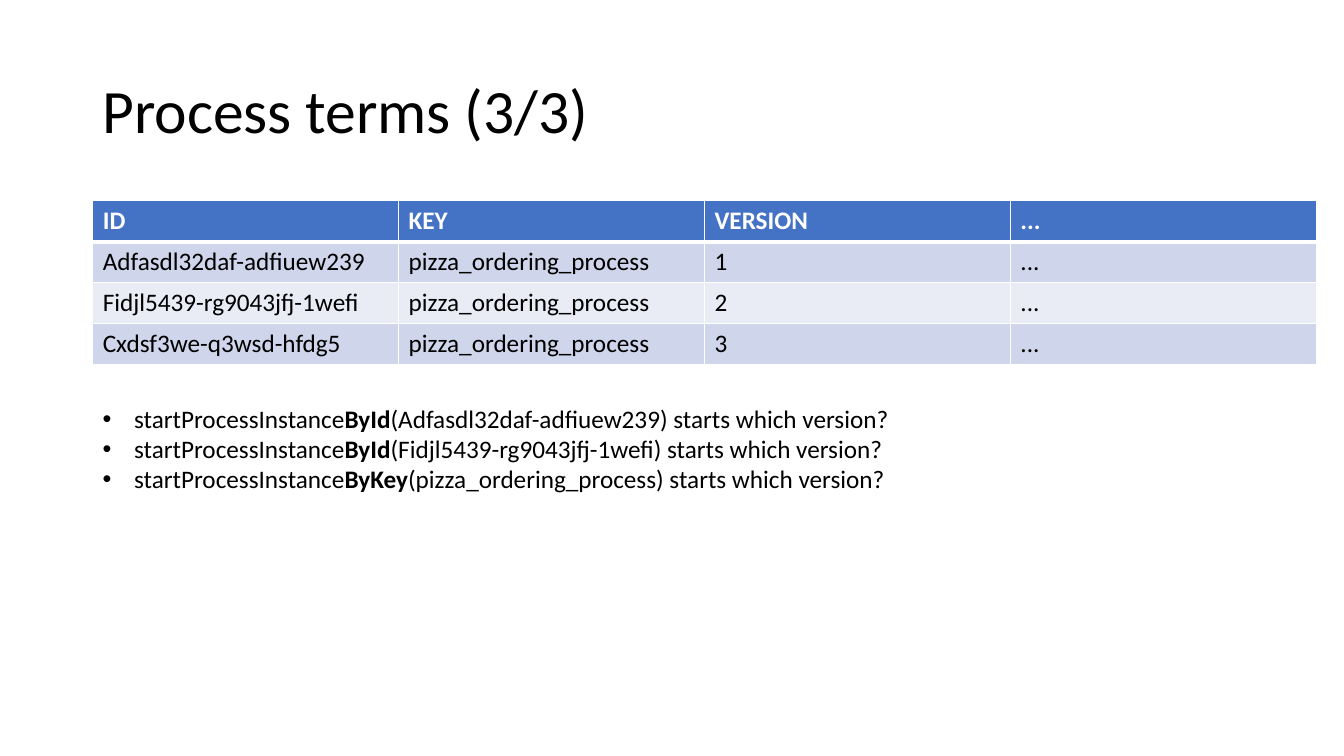
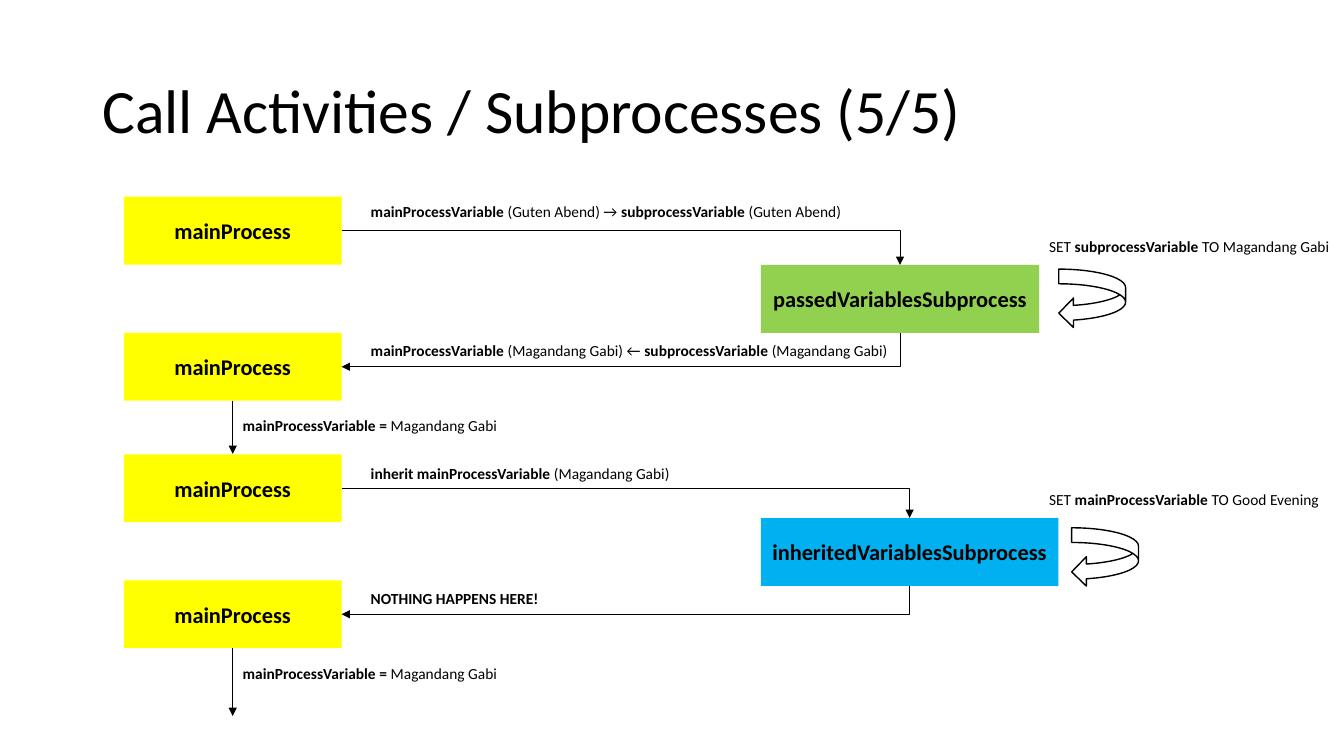
from dataclasses import dataclass

from lxml.etree import SubElement
from pptx import Presentation
from pptx.dml.color import RGBColor
from pptx.enum.shapes import MSO_CONNECTOR, MSO_SHAPE
from pptx.enum.text import MSO_ANCHOR, PP_ALIGN
from pptx.oxml import parse_xml
from pptx.oxml.ns import nsdecls, qn
from pptx.util import Pt

FONT = "Calibri"
BLACK, WHITE = "000000", "FFFFFF"
YELLOW, GREEN, CYAN = "FFFF00", "92D050", "00B0F0"
HEADER, BANDS = "4472C4", ("CFD5EA", "E9EBF5")
TOP, BOTTOM, RIGHT = 0, 2, 3  # connection sites of a rectangle
BOX_W, BOX_H = 155.5, 48.5


def rgb(color):
    return RGBColor.from_string(color)


# Text: **marks** enclose bold words
def write(paragraph, text, size, color=BLACK, bold=False):
    font = paragraph.font
    font.name, font.size, font.bold = FONT, Pt(size), bold
    font.color.rgb = rgb(color)
    for index, part in enumerate(text.split("**")):
        if part:
            run = paragraph.add_run()
            run.text = part
            if index % 2:
                run.font.bold = True


def add_text(slide, left, top, width, height, lines, size):
    frame = slide.shapes.add_textbox(Pt(left), Pt(top), Pt(width), Pt(height)).text_frame
    frame.word_wrap = True
    for index, line in enumerate(lines):
        paragraph = frame.add_paragraph() if index else frame.paragraphs[0]
        write(paragraph, line, size)
    return frame


def add_slide(deck, title):
    slide = deck.slides.add_slide(deck.slide_layouts[6])
    frame = add_text(slide, 66, 28.8, 828, 104.4, [title], 44)
    frame.vertical_anchor = MSO_ANCHOR.MIDDLE
    frame.paragraphs[0].line_spacing = 0.9
    return slide


# Process definition table
def set_borders(cell, top, bottom):
    properties = cell._tc.get_or_add_tcPr()
    for side, width in (("L", 1), ("R", 1), ("T", top), ("B", bottom)):
        border = SubElement(properties, qn(f"a:ln{side}"), w=str(Pt(width)))
        fill = SubElement(border, qn("a:solidFill"))
        SubElement(fill, qn("a:srgbClr"), val=WHITE)


def add_definitions(slide, left, top, col_width, row_height, rows):
    table = slide.shapes.add_table(
        len(rows), len(rows[0]), Pt(left), Pt(top),
        Pt(col_width * len(rows[0])), Pt(row_height * len(rows))).table
    for column in table.columns:
        column.width = Pt(col_width)
    for r, row in enumerate(rows):
        is_header = r == 0
        for c, text in enumerate(row):
            cell = table.cell(r, c)
            set_borders(cell, 3 if r == 1 else 1, 3 if is_header else 1)
            cell.fill.solid()
            cell.fill.fore_color.rgb = rgb(HEADER if is_header else BANDS[(r - 1) % 2])
            write(cell.text_frame.paragraphs[0], text, 18,
                  WHITE if is_header else BLACK, is_header)


def add_questions(slide, left, top, width, height, lines):
    frame = add_text(slide, left, top, width, height, lines, 18)
    for paragraph in frame.paragraphs:
        properties = paragraph._p.get_or_add_pPr()
        properties.set("marL", str(Pt(22.5)))
        properties.set("indent", str(Pt(-22.5)))
        properties.insert(0, parse_xml(f'<a:buFont {nsdecls("a")} typeface="Arial"/>'))
        properties.insert(1, parse_xml(f'<a:buChar {nsdecls("a")} char="•"/>'))


# Flow chart parts
def add_process(slide, left, top, width, name, color):
    box = slide.shapes.add_shape(
        MSO_SHAPE.RECTANGLE, Pt(left), Pt(top), Pt(width), Pt(BOX_H))
    box.shadow.inherit = False
    box.fill.solid()
    box.fill.fore_color.rgb = rgb(color)
    box.line.fill.background()
    frame = box.text_frame
    frame.vertical_anchor = MSO_ANCHOR.MIDDLE
    frame.paragraphs[0].alignment = PP_ALIGN.CENTER
    write(frame.paragraphs[0], name, 16, bold=True)
    return box


def add_arrow(slide, kind, x1=0, y1=0, x2=0, y2=0):
    arrow = slide.shapes.add_connector(kind, Pt(x1), Pt(y1), Pt(x2), Pt(y2))
    arrow.line.color.rgb = rgb(BLACK)
    arrow.line.width = Pt(0.5)
    SubElement(arrow.get_or_add_ln(), qn("a:tailEnd"), type="triangle")
    SubElement(arrow.element.spPr, qn("a:effectLst"))
    return arrow


def link(slide, source, source_site, target, target_site):
    """Join two boxes with an arrow that has one corner."""
    arrow = add_arrow(slide, MSO_CONNECTOR.ELBOW)
    arrow.begin_connect(source, source_site)
    arrow.end_connect(target, target_site)
    arrow.element.spPr.find(qn("a:prstGeom")).set("prst", "bentConnector2")
    if source_site == BOTTOM:  # down, then left: a quarter turn about the centre
        left, top, width, height = arrow.left, arrow.top, arrow.width, arrow.height
        frame = arrow.element.spPr.find(qn("a:xfrm"))
        frame.flipH = False
        frame.rot = 90
        arrow.left = left + (width - height) // 2
        arrow.top = top + (height - width) // 2
        arrow.width, arrow.height = height, width


def add_loop(slide, left, top):
    loop = slide.shapes.add_shape(
        MSO_SHAPE.CURVED_LEFT_ARROW, Pt(left), Pt(top), Pt(47.75), Pt(42))
    loop.shadow.inherit = False
    loop.fill.background()
    loop.line.color.rgb = rgb(BLACK)
    loop.line.width = Pt(1)


@dataclass
class Call:
    """One call and its return; vertical offsets count from its top."""
    name: str
    color: str
    width: float
    passed: str
    change: str
    returned: str
    sub_y: float
    back_y: float
    passed_y: float
    returned_y: float
    loop_gap: float
    loop_y: float
    exit_length: float


def add_call(slide, left, top, call):
    sub_left, label_left, middle = left + 455, left + 169.25, left + BOX_W / 2
    sub_top, back_top = top + call.sub_y, top + call.back_y

    # Caller, subprocess and return
    caller = add_process(slide, left, top, BOX_W, "mainProcess", YELLOW)
    sub = add_process(slide, sub_left, sub_top, call.width, call.name, call.color)
    back = add_process(slide, left, back_top, BOX_W, "mainProcess", YELLOW)
    link(slide, caller, RIGHT, sub, TOP)
    link(slide, sub, BOTTOM, back, RIGHT)
    add_text(slide, label_left, top + call.passed_y, 385, 20.5, [call.passed], 11)
    add_text(slide, label_left, top + call.returned_y, 385, 20.5, [call.returned], 11)

    # Change inside the subprocess
    add_loop(slide, sub_left + call.width + call.loop_gap, sub_top + call.loop_y)
    add_text(slide, left + 653.75, sub_top - 23.5, 217.5, 20.5, [call.change], 11)

    # Value after the return
    end = back_top + BOX_H
    add_arrow(slide, MSO_CONNECTOR.STRAIGHT, middle, end, middle, end + call.exit_length)
    add_text(slide, middle, end + 7.5, 210, 20.5,
             ["**mainProcessVariable = **Magandang Gabi"], 11)


DEFINITIONS = [
    ("ID", "KEY", "VERSION", "..."),
    ("Adfasdl32daf-adfiuew239", "pizza_ordering_process", "1", "..."),
    ("Fidjl5439-rg9043jfj-1wefi", "pizza_ordering_process", "2", "..."),
    ("Cxdsf3we-q3wsd-hfdg5", "pizza_ordering_process", "3", "..."),
]
QUESTIONS = [
    f"startProcessInstance**{method}**({argument}) starts which version?"
    for method, argument in (
        ("ById", "Adfasdl32daf-adfiuew239"),
        ("ById", "Fidjl5439-rg9043jfj-1wefi"),
        ("ByKey", "pizza_ordering_process"))
]
PASSED_CALL = Call(
    "passedVariablesSubprocess", GREEN, 198.75,
    passed="**mainProcessVariable** (Guten Abend) → **subprocessVariable** (Guten Abend)",
    change="SET **subprocessVariable **TO Magandang Gabi",
    returned="**mainProcessVariable** (Magandang Gabi) ← "
             "**subprocessVariable** (Magandang Gabi)",
    sub_y=48.75, back_y=97.25, passed_y=0, returned_y=99.25,
    loop_gap=14, loop_y=3, exit_length=38)
INHERITED_CALL = Call(
    "inheritedVariablesSubprocess", CYAN, 212.5,
    passed="**inherit mainProcessVariable** (Magandang Gabi)",
    change="SET **mainProcessVariable **TO Good Evening",
    returned="**NOTHING HAPPENS HERE!**",
    sub_y=45.5, back_y=90, passed_y=3.5, returned_y=93,
    loop_gap=9.5, loop_y=7, exit_length=48.5)


def main():
    deck = Presentation()
    deck.slide_width, deck.slide_height = Pt(960), Pt(540)

    terms = add_slide(deck, "Process terms (3/3)")
    add_definitions(terms, 66.25, 143.5, 218.5, 29.2, DEFINITIONS)
    add_questions(terms, 66.25, 284.5, 858, 72.75, QUESTIONS)

    activities = add_slide(deck, "Call Activities / Subprocesses (5/5)")
    add_call(activities, 88.5, 140.5, PASSED_CALL)
    add_call(activities, 88.5, 324.5, INHERITED_CALL)

    deck.save("out.pptx")


if __name__ == "__main__":
    main()
